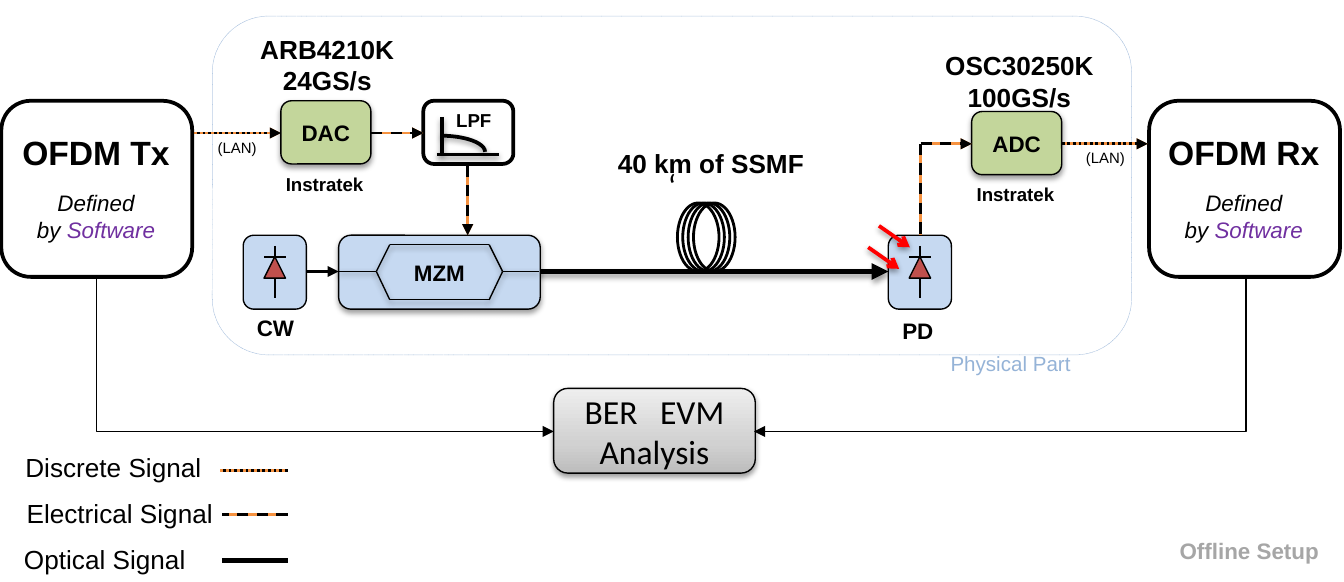
from copy import deepcopy
from dataclasses import dataclass
from itertools import pairwise
from typing import Optional

from lxml.etree import SubElement as Sub
from pptx import Presentation
from pptx.dml.color import RGBColor
from pptx.enum.dml import MSO_LINE as Dash
from pptx.enum.shapes import MSO_CONNECTOR as Link, MSO_SHAPE as Kind
from pptx.enum.text import MSO_ANCHOR as Anchor, PP_ALIGN as Align
from pptx.oxml.ns import qn
from pptx.util import Inches, Pt

BLACK = RGBColor(0x00, 0x00, 0x00)
WHITE = RGBColor(0xFF, 0xFF, 0xFF)
RED = RGBColor(0xFF, 0x00, 0x00)
BRICK = RGBColor(0xC0, 0x50, 0x4D)
BLUE = RGBColor(0xC6, 0xD9, 0xF1)
STEEL = RGBColor(0x95, 0xB3, 0xD7)
GREEN = RGBColor(0xC3, 0xD6, 0x9B)
AMBER = RGBColor(0xF6, 0x92, 0x40)
PURPLE = RGBColor(0x70, 0x30, 0xA0)
GREY = RGBColor(0xA6, 0xA6, 0xA6)
FADE = ((0, RGBColor(0xBD, 0xBD, 0xBD)), (0.35, RGBColor(0xD1, 0xD1, 0xD1)),
        (1, RGBColor(0xEE, 0xEE, 0xEE)))

# Grid: square cells, 100 columns by 43.3 rows
CELL = Inches(0.1)
COLS, ROWS = 100, 43.3
Point = tuple[float, float]
Area = tuple[float, float, float, float]


@dataclass
class Run:
    text: str
    size: float = 12
    bold: bool = False
    slant: bool = False
    color: RGBColor = BLACK
    font: str = "Arial"
    track: int = 0


@dataclass
class Label:
    area: Area
    rows: list[list[Run]]
    align: Align = Align.CENTER
    wrap: bool = False
    gap: float = 0


@dataclass
class Pen:
    color: RGBColor = BLACK
    width: float = 0.75
    dash: Optional[Dash] = None


THIN, BOLD, FINE = Pen(), Pen(width=2), Pen(width=1)
THICK = Pen(width=3)

deck = Presentation()
deck.slide_width, deck.slide_height = int(COLS * CELL), int(ROWS * CELL)
slide = deck.slides.add_slide(deck.slide_layouts[6])
shapes = slide.shapes


def grid(*cells: float) -> list[int]:
    return [round(c * CELL) for c in cells]


def shade(item, on: bool) -> None:
    """Give a soft shadow below the item, or none."""
    glow = Sub(item._element.spPr, qn("a:effectLst"))
    if on:
        drop = Sub(glow, qn("a:outerShdw"), blurRad=str(Pt(3.1)),
                   dist=str(Pt(1.6)), dir="5400000", rotWithShape="0")
        tint = Sub(drop, qn("a:srgbClr"), val="000000")
        Sub(tint, qn("a:alpha"), val="38000")


def ink(line, pen: Pen, tip: str = "") -> None:
    line.color.rgb, line.width = pen.color, Pt(pen.width)
    if pen.dash:
        line.dash_style = pen.dash
    if tip:
        Sub(line._get_or_add_ln(), qn("a:tailEnd"), type=tip)


def write(frame, rows: list[list[Run]], align=Align.CENTER, gap: float = 0) -> None:
    for i, row in enumerate(rows):
        para = frame.add_paragraph() if i else frame.paragraphs[0]
        para.alignment = align
        if gap and i == 1:
            para.space_before = Pt(gap)
        for bit in row:
            run = para.add_run()
            run.text = bit.text
            font = run.font
            font.name, font.size = bit.font, Pt(bit.size)
            font.bold, font.italic = bit.bold, bit.slant
            font.color.rgb = bit.color
            if bit.track:
                font._element.set("spc", str(bit.track))


def box(area: Area, fill: Optional[RGBColor] = None, pen: Pen = THIN,
        rows=(), kind=Kind.ROUNDED_RECTANGLE, soft: bool = False):
    item = shapes.add_shape(kind, *grid(*area))
    if fill is None:
        item.fill.background()
    else:
        item.fill.solid()
        item.fill.fore_color.rgb = fill
    ink(item.line, pen)
    shade(item, soft)
    item.text_frame.vertical_anchor = Anchor.MIDDLE
    write(item.text_frame, rows)
    return item


def note(label: Label) -> None:
    frame = shapes.add_textbox(*grid(*label.area)).text_frame
    frame.word_wrap = label.wrap
    write(frame, label.rows, label.align, label.gap)


def wire(start: Point, end: Point, pen: Pen = THIN, tip: str = "",
         soft: bool = False) -> None:
    item = shapes.add_connector(Link.STRAIGHT, *grid(*start, *end))
    ink(item.line, pen, tip)
    shade(item, soft)


def duo(start: Point, end: Point, dash: Dash, tip: str = "triangle") -> None:
    """Draw a dashed black line over an amber one."""
    for pen in (Pen(AMBER, 1.5), Pen(BLACK, 1.5, dash)):
        wire(start, end, pen, tip)


def bend(start: Point, end: Point) -> None:
    """Go straight down, then sideways to an arrow."""
    (x, y), (u, v) = start, end
    mid, low = (x + u) / 2, (y + v) / 2
    half, side = (v - y) / 2, (u - x) / 2
    item = shapes.add_connector(Link.ELBOW, *grid(
        mid + (half if side > 0 else -half), low - abs(side),
        mid - (half if side > 0 else -half), low + abs(side)))
    item._element.spPr.find(qn("a:prstGeom")).set("prst", "bentConnector2")
    turn = 270 if side > 0 else 90
    item._element.spPr.find(qn("a:xfrm")).set("rot", str(turn * 60000))
    ink(item.line, THIN, "triangle")
    shade(item, False)


def diode(left: float) -> None:
    mid = left + 2.35
    box((left, 17.5, 4.7, 5.5), BLUE)
    wire((mid, 18.3), (mid, 22.2), FINE)
    box((mid - 0.8, 19.1, 1.6, 1.6), BRICK, kind=Kind.ISOSCELES_TRIANGLE)
    wire((mid + 0.8, 19.1), (mid - 0.8, 19.1), FINE)


def device(left: float, top: float, name: str, model: Label) -> None:
    box((left, top, 6.7, 4.7), GREEN, rows=[[Run(name, bold=True)]], soft=True)
    note(model)
    note(Label((left - 0.9, top + 4.85, 8.3, 2.7), [[Run("Instratek", 10, True)]]))


def modem(left: float, name: str) -> None:
    box((left, 7.5, 14.2, 13.1), WHITE, BOLD)
    note(Label((left - 0.1, 9.3, 14.3, 9.4), [
        [Run(name, 18, True)], [Run("Defined", slant=True)],
        [Run("by ", slant=True), Run("Software", slant=True, color=PURPLE)],
    ], wrap=True, gap=9.5))


def main() -> None:
    # Frame of the physical part
    box((15.8, 1.2, 68.4, 25.2), pen=Pen(STEEL, 0.25, Dash.ROUND_DOT),
        rows=[[Run("‘", 18, font="Calibri")]])
    duo((10.9, 9.9), (20.9, 9.9), Dash.ROUND_DOT)

    # Fibre link and modulator
    axis = 20.2
    wire((25.2, axis), (66.1, axis), THICK, "triangle", True)
    box((25.2, 17.5, 15, 5.5), BLUE, rows=[[Run("MZM", bold=True)]], soft=True)
    for rim in (18.2, 22.3):
        arm = [(25.2, axis), (28, axis), (29, rim), (36.4, rim), (37.4, axis), (40.1, axis)]
        for a, b in pairwise(arm if rim < axis else arm[1:-1]):
            wire(a, b, soft=True)

    # Laser and photodiode
    diode(18.1)
    diode(66.1)
    for x, y in ((64.6, 18.4), (65.4, 16.8)):
        wire((x, y), (x + 2.3, y + 1.6), Pen(RED, 2), "arrow", True)
    for i in range(4):
        box((50.4 + 0.4 * i, 15.1, 3.1, 5.1), pen=Pen(width=1.5), kind=Kind.OVAL)
    wire((22.8, axis), (25.2, axis), Pen(width=1.5), "triangle")

    # Converters and software ends
    device(20.9, 7.5, "DAC", Label((18.1, 2, 12.5, 5.7), [
        [Run("ARB4210K", 14, True)], [Run("24GS/s", 14, True)]]))
    device(72.3, 8.3, "ADC", Label((69.3, 3.2, 13.1, 5.7), [
        [Run("OSC30250K", 14, True)], [Run("100GS/s", 14, True)]]))
    modem(0.1, "OFDM Tx")
    modem(85.5, "OFDM Rx")

    # Analysis box; the wide space is tracked out
    hub = box((41.2, 28.9, 15, 6.3), WHITE, soft=True, rows=[
        [Run("BER", 18, font="Calibri"), Run(" ", 18, font="Calibri", track=800),
         Run("EVM", 18, font="Calibri")],
        [Run("Analysis", 18, font="Calibri")]])
    hub.fill.gradient()
    hub.fill.gradient_angle = 90
    first = hub._element.spPr.find(".//" + qn("a:gs"))
    first.addnext(deepcopy(first))
    for stop, (place, tone) in zip(hub.fill.gradient_stops, FADE):
        stop.position, stop.color.rgb = place, tone

    # Low-pass filter
    box((31.5, 7.5, 6.7, 4.7), WHITE, BOLD)
    wire((32.9, 8.7), (32.9, 11.5), BOLD, soft=True)
    wire((32.5, 11.5), (37.1, 11.5), BOLD, soft=True)
    box((29.5, 10.1, 6.6, 2.4), pen=BOLD, kind=Kind.ARC, soft=True)

    # Signal paths
    duo((27.6, 9.9), (31.5, 9.9), Dash.DASH)
    duo((34.8, 12.3), (34.8, 17.5), Dash.DASH)
    duo((68.5, 10.7), (72.3, 10.7), Dash.DASH)
    duo((79, 10.7), (85.4, 10.7), Dash.ROUND_DOT)
    duo((68.5, 10.7), (68.5, 17.5), Dash.DASH, "")
    bend((7.2, 20.6), (41.2, 32.1))
    bend((92.7, 20.6), (56.1, 32.1))

    # Legend
    duo((21.4, 35), (16.4, 35), Dash.ROUND_DOT, "")
    duo((21.4, 38.3), (16.5, 38.3), Dash.DASH, "")
    wire((16.5, 41.7), (21.4, 41.7), THICK)

    # Labels
    for area, run in (
        ((0.9, 33.1, 15.2, 3.4), Run("Discrete Signal", 14)),
        ((1, 36.5, 16, 3.4), Run("Electrical Signal", 14)),
        ((0.8, 39.9, 14.1, 3.4), Run("Optical Signal", 14)),
        ((18.1, 22.9, 4.8, 3), Run("CW", bold=True)),
        ((66.1, 23.1, 4.4, 3), Run("PD", bold=True)),
        ((32.9, 7.6, 4.7, 2.7), Run("LPF", 10, True)),
        ((44.9, 10.5, 16, 3.4), Run("40 km of SSMF", 14, True)),
        ((15, 9.8, 5.3, 2.4), Run("(LAN)", 8)),
        ((79.6, 10.6, 5.3, 2.4), Run("(LAN)", 8)),
        ((69.7, 25.6, 11, 2.9), Run("Physical Part", 11, color=STEEL)),
        ((86.7, 39.5, 12.5, 3), Run("Offline Setup", bold=True, color=GREY)),
    ):
        note(Label(area, [[run]], Align.LEFT if run.size == 14 and not run.bold
                   else Align.CENTER))
    deck.save("out.pptx")


if __name__ == "__main__":
    main()
